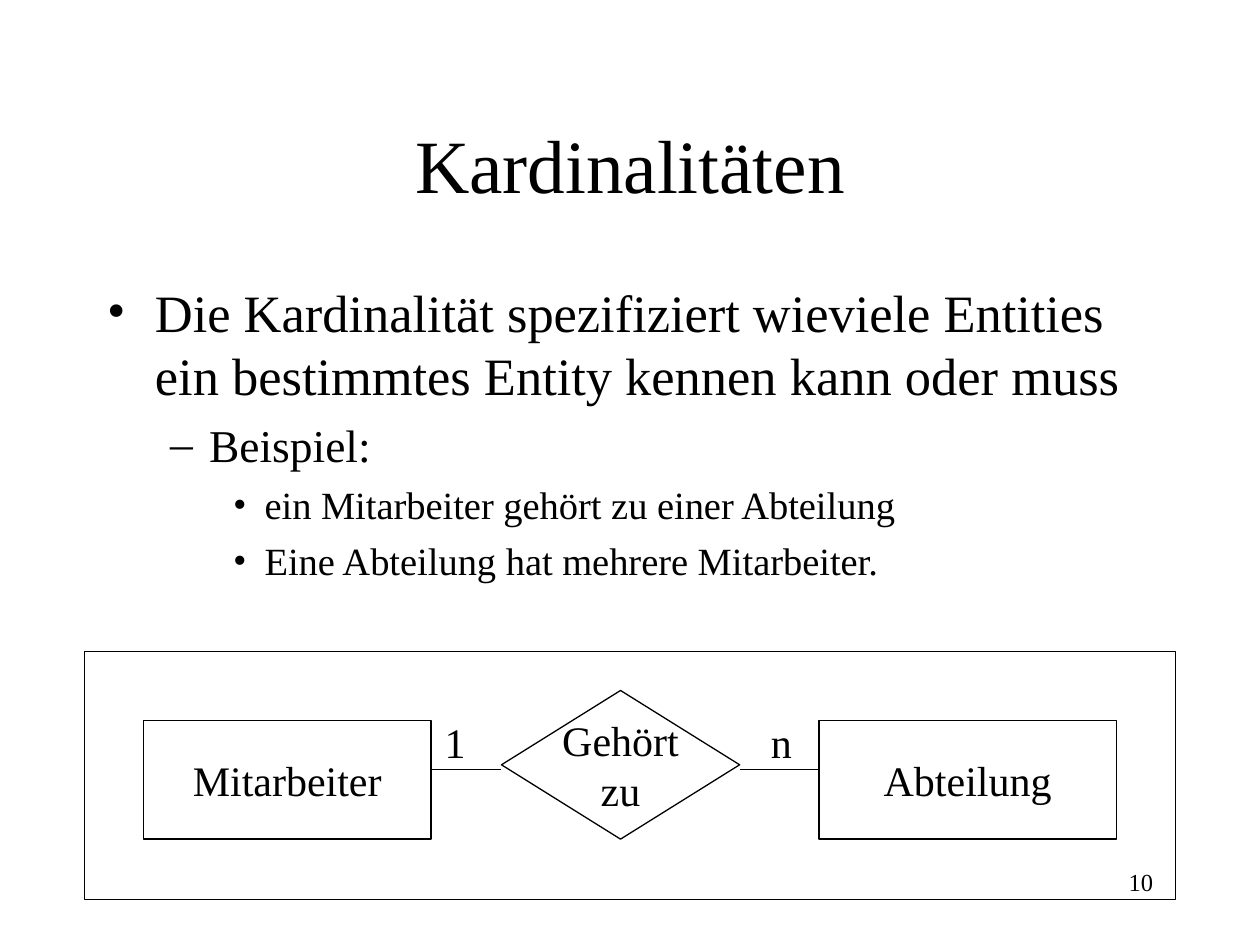
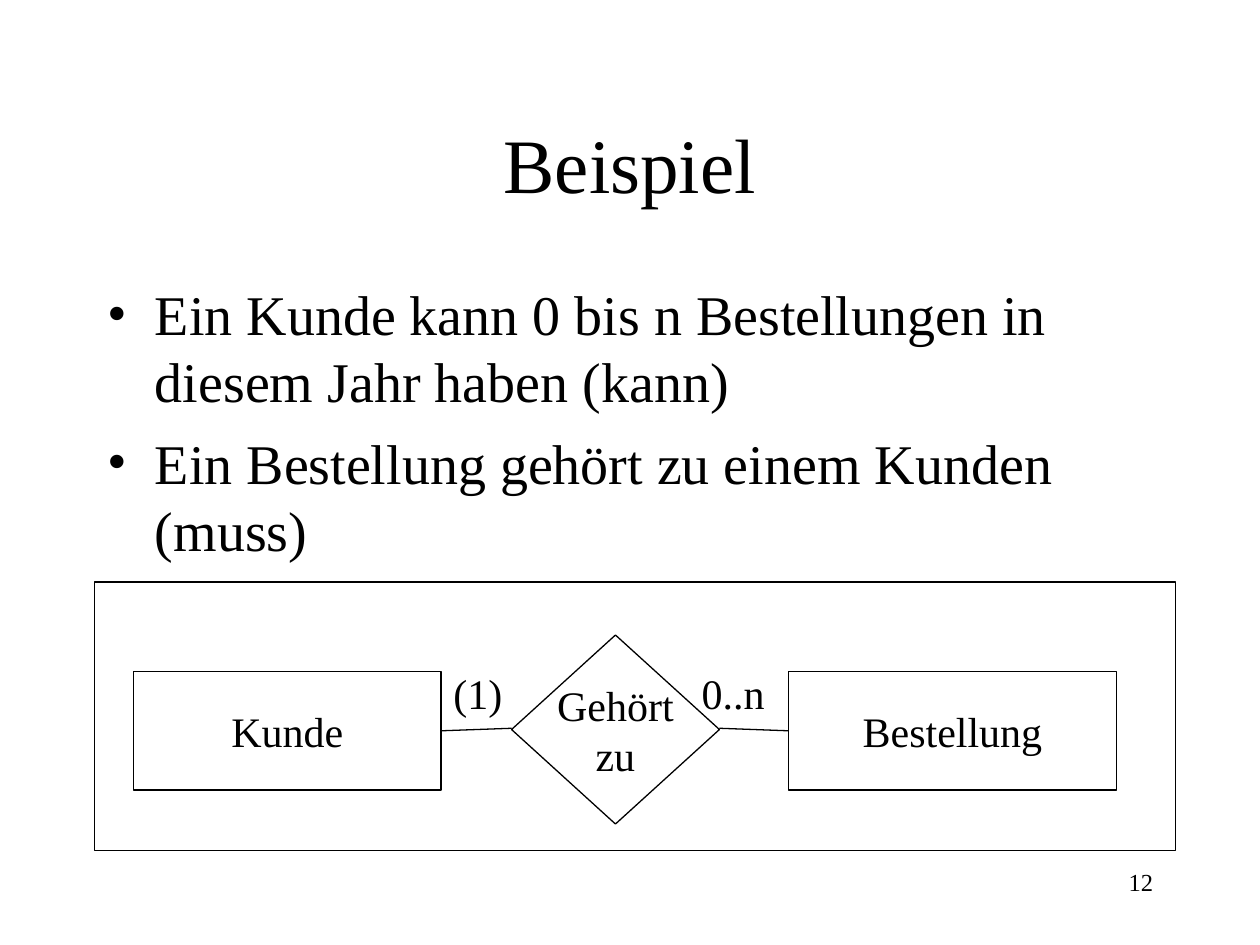
from dataclasses import dataclass

from lxml import etree
from pptx import Presentation
from pptx.dml.color import RGBColor
from pptx.enum import shapes, text
from pptx.oxml import ns
from pptx.util import Inches, Pt

# Shared style
BLACK = RGBColor(0x00, 0x00, 0x00)
WHITE = RGBColor(0xFF, 0xFF, 0xFF)
FONT = "Times New Roman"
LINE_WIDTH = Pt(0.75)
DIAGRAM_SIZE = 24
LABEL_HEIGHT = 0.5

TITLE_BOX = (0.75, 0.67, 8.5, 1.25)
NUMBER_BOX = (7.17, 6.83, 2.08, 0.5)

# Per outline level: bullet, left margin, hanging indent
LEVELS = (("•", 0.38, 0.38), ("–", 0.81, 0.31), ("•", 1.25, 0.25))

Box = tuple[float, float, float, float]


@dataclass
class Bullet:
    text: str
    size: int
    level: int = 0


@dataclass
class Node:
    text: str
    box: Box

    @property
    def left(self) -> float:
        return self.box[0]

    @property
    def right(self) -> float:
        return self.box[0] + self.box[2]


@dataclass
class Cardinality:
    text: str
    left: float
    width: float


@dataclass
class Diagram:
    frame: Box
    first: Node
    relation: Node
    second: Node
    entity_line_y: float
    relation_line_y: float
    label_top: float
    cardinalities: tuple[Cardinality, Cardinality]


@dataclass
class Page:
    number: int
    title: str
    title_size: int
    body_height: float
    bullets: list[Bullet]
    diagram: Diagram


PAGES = [
    Page(
        10, "Kardinalitäten", 43, 2.69,
        [
            Bullet("Die Kardinalität spezifiziert wieviele Entities "
                   "ein bestimmtes Entity kennen kann oder muss", 30),
            Bullet("Beispiel:", 26, 1),
            Bullet("ein Mitarbeiter gehört zu einer Abteilung", 22, 2),
            Bullet("Eine Abteilung hat mehrere Mitarbeiter.", 22, 2),
        ],
        Diagram(
            frame=(0.67, 5.17, 8.66, 1.97),
            first=Node("Mitarbeiter", (1.14, 5.72, 2.28, 0.94)),
            relation=Node("Gehört\nzu", (3.98, 5.48, 1.89, 1.18)),
            second=Node("Abteilung", (6.5, 5.72, 2.36, 0.94)),
            entity_line_y=6.11,
            relation_line_y=6.11,
            label_top=5.64,
            cardinalities=(Cardinality("1", 3.43, 0.55),
                           Cardinality("n", 6.02, 0.47)),
        ),
    ),
    Page(
        12, "Beispiel", 44, 2.53,
        [
            Bullet("Ein Kunde kann 0 bis n Bestellungen in "
                   "diesem Jahr haben (kann)", 32),
            Bullet("Ein Bestellung gehört zu einem Kunden (muss)", 32),
        ],
        Diagram(
            frame=(0.75, 4.62, 8.58, 2.13),
            first=Node("Kunde", (1.06, 5.33, 2.44, 0.94)),
            relation=Node("Gehört\nzu", (4.06, 5.04, 1.65, 1.5)),
            second=Node("Bestellung", (6.26, 5.33, 2.6, 0.94)),
            entity_line_y=5.8,
            relation_line_y=5.78,
            label_top=5.25,
            cardinalities=(Cardinality("(1)", 3.5, 0.63),
                           Cardinality("0..n", 5.47, 0.79)),
        ),
    ),
]


def inches(box) -> list:
    return [Inches(value) for value in box]


def place(holder, box: Box) -> None:
    holder.left, holder.top, holder.width, holder.height = inches(box)


def write(paragraph, content: str, *, size: float,
          align=text.PP_ALIGN.LEFT, before: float = 0) -> None:
    paragraph.text = content
    paragraph.alignment = align
    paragraph.space_before = Pt(before)
    for run in paragraph.runs:
        run.font.name = FONT
        run.font.size = Pt(size)
        run.font.color.rgb = BLACK


def add_bullet(paragraph, level: int) -> None:
    mark, margin, hanging = LEVELS[level]
    paragraph.level = level
    properties = paragraph._p.get_or_add_pPr()
    properties.set("marL", str(Inches(margin)))
    properties.set("indent", str(-Inches(hanging)))
    color = etree.SubElement(properties, ns.qn("a:buClr"))
    etree.SubElement(color, ns.qn("a:srgbClr"), val=str(BLACK))
    etree.SubElement(properties, ns.qn("a:buFont"), typeface=FONT)
    etree.SubElement(properties, ns.qn("a:buChar"), char=mark)


def add_title(slide, page: Page) -> None:
    title = slide.shapes.title
    place(title, TITLE_BOX)
    frame = title.text_frame
    frame.auto_size = text.MSO_AUTO_SIZE.NONE
    frame.vertical_anchor = text.MSO_ANCHOR.MIDDLE
    write(frame.paragraphs[0], page.title, size=page.title_size,
          align=text.PP_ALIGN.CENTER)


def add_body(slide, page: Page) -> None:
    body = slide.placeholders[1]
    place(body, (0.75, 2.17, 8.5, page.body_height))
    frame = body.text_frame
    frame.auto_size = text.MSO_AUTO_SIZE.NONE
    frame.vertical_anchor = text.MSO_ANCHOR.TOP
    for index, bullet in enumerate(page.bullets):
        paragraph = frame.add_paragraph() if index else frame.paragraphs[0]
        write(paragraph, bullet.text, size=bullet.size, before=bullet.size / 4)
        add_bullet(paragraph, bullet.level)


def add_outline(slide, kind, box: Box, content: str = "") -> None:
    outline = slide.shapes.add_shape(kind, *inches(box))
    outline.shadow.inherit = False
    outline.fill.background()
    outline.line.color.rgb = BLACK
    outline.line.width = LINE_WIDTH
    if content:
        frame = outline.text_frame
        frame.word_wrap = False
        frame.vertical_anchor = text.MSO_ANCHOR.MIDDLE
        write(frame.paragraphs[0], content, size=DIAGRAM_SIZE,
              align=text.PP_ALIGN.CENTER)


def add_link(slide, start: tuple[float, float], end: tuple[float, float]) -> None:
    link = slide.shapes.add_connector(
        shapes.MSO_CONNECTOR.STRAIGHT, *inches(start + end))
    link.line.color.rgb = BLACK
    link.line.width = LINE_WIDTH
    etree.SubElement(link._element.spPr, ns.qn("a:effectLst"))


def add_label(slide, box: Box, content: str, *, grow: bool = False, **style) -> None:
    frame = slide.shapes.add_textbox(*inches(box)).text_frame
    frame.word_wrap = True
    if grow:
        frame.auto_size = text.MSO_AUTO_SIZE.SHAPE_TO_FIT_TEXT
    write(frame.paragraphs[0], content, **style)


def add_diagram(slide, diagram: Diagram) -> None:
    rectangle = shapes.MSO_SHAPE.RECTANGLE
    first, relation, second = diagram.first, diagram.relation, diagram.second
    add_outline(slide, rectangle, diagram.frame)
    for entity in (first, second):
        add_outline(slide, rectangle, entity.box, entity.text)
    add_outline(slide, shapes.MSO_SHAPE.DIAMOND, relation.box, relation.text)

    # Links from the entities to the relation
    add_link(slide, (first.right, diagram.entity_line_y),
             (relation.left, diagram.relation_line_y))
    add_link(slide, (relation.right, diagram.relation_line_y),
             (second.left, diagram.entity_line_y))

    for cardinality in diagram.cardinalities:
        add_label(slide, (cardinality.left, diagram.label_top,
                          cardinality.width, LABEL_HEIGHT),
                  cardinality.text, grow=True, size=DIAGRAM_SIZE, before=15)


def main() -> None:
    deck = Presentation()
    deck.slide_width, deck.slide_height = Inches(10), Inches(7.5)
    background = deck.slide_master.background.fill
    background.solid()
    background.fore_color.rgb = WHITE
    for page in PAGES:
        slide = deck.slides.add_slide(deck.slide_layouts[1])
        add_title(slide, page)
        add_body(slide, page)
        add_diagram(slide, page.diagram)
        add_label(slide, NUMBER_BOX, str(page.number), size=14,
                  align=text.PP_ALIGN.RIGHT)
    deck.save("out.pptx")


if __name__ == "__main__":
    main()
